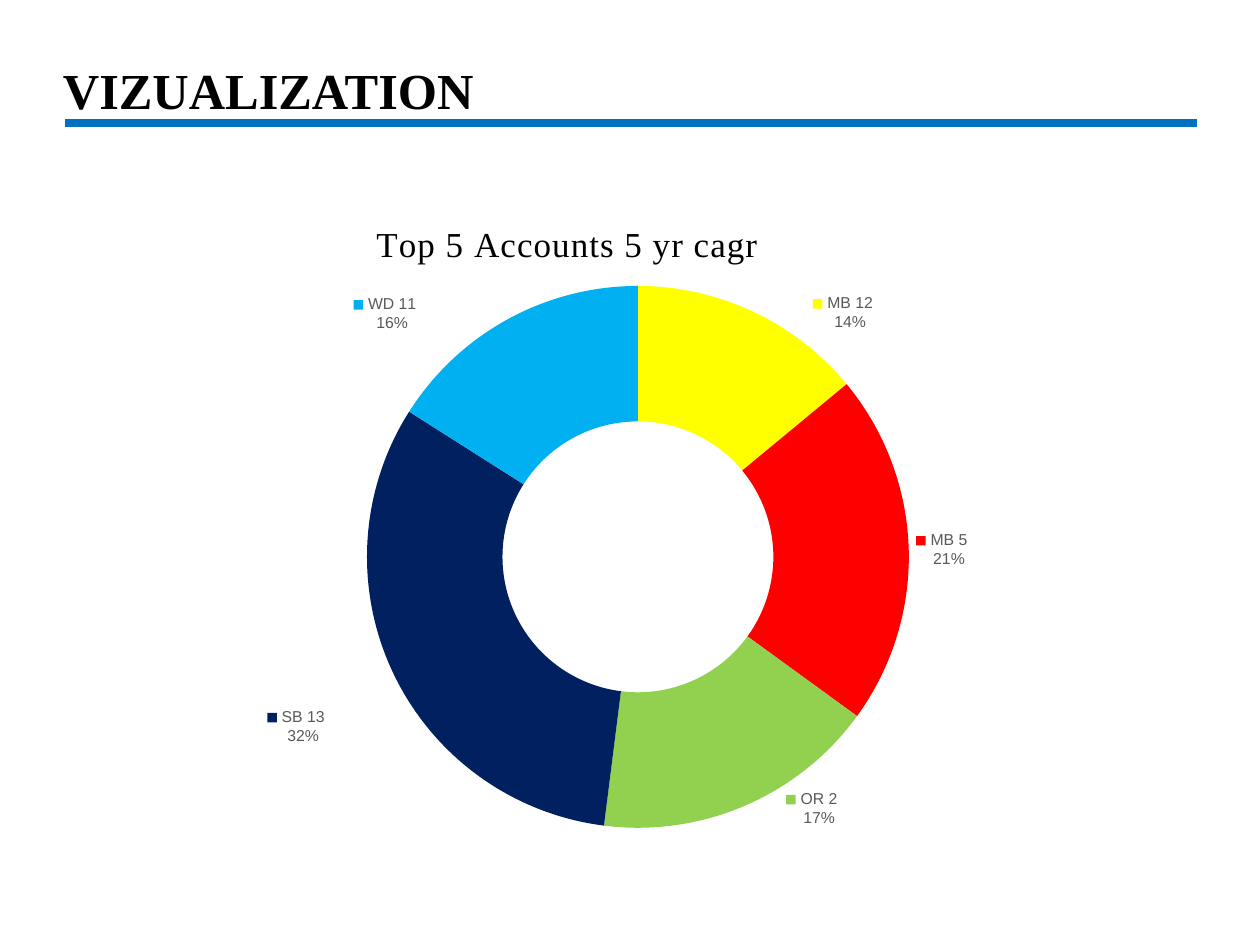
import math
from lxml import etree
from pptx import Presentation
from pptx import util as u
from pptx.chart.data import CategoryChartData
from pptx.dml.color import RGBColor
from pptx.enum import chart as charts, shapes, text
from pptx.oxml import parse_xml
from pptx.oxml.ns import nsdecls, qn

SCALE = 914400 / 126
SERIF, SANS = "Times New Roman", "Arial"

# Category, percentage, colour, label centre in px
ACCOUNTS = [
    ("MB 12", 14, "FFFF00", (843, 313)),
    ("MB 5", 21, "FF0000", (942, 550)),
    ("OR 2", 17, "92D050", (812, 809)),
    ("SB 13", 32, "002060", (296, 727)),
    ("WD 11", 16, "00B0F0", (385, 314)),
]
CHART = (130, 197, 1016, 649)
RING = (367, 286, 542, 542)
TITLE_AT = (370, 215)


def px(n):
    return u.Emu(round(n * SCALE))


def rgb(value):
    return RGBColor.from_string(value)


def set_font(font, color, **values):
    font.color.rgb = rgb(color)
    for name, value in values.items():
        setattr(font, name, value)


def in_chart(x, y):
    """Place on the slide in px, as fractions of the chart."""
    left, top, width, height = CHART
    return dict(xMode="edge", yMode="edge", x=(x - left) / width, y=(y - top) / height)


def layout_xml(**values):
    parts = "".join(f'<c:{k} val="{v}"/>' for k, v in values.items())
    return f'<c:layout {nsdecls("c")}><c:manualLayout>{parts}</c:manualLayout></c:layout>'


def set_layout(parent, index, **values):
    for old in parent.findall(qn("c:layout")):
        parent.remove(old)
    parent.insert(index, parse_xml(layout_xml(**values)))


def label_offsets():
    """Shift of each label from the middle of its ring segment, as chart fractions."""
    left, top, size, _ = RING
    cx, cy, radius = left + size / 2, top + size / 2, size * 3 / 8
    total, start = sum(a[1] for a in ACCOUNTS), 0
    for _, value, _, (x, y) in ACCOUNTS:
        angle = 2 * math.pi * (start + value / 2) / total
        start += value
        dx = x - cx - radius * math.sin(angle)
        dy = y - cy + radius * math.cos(angle)
        yield dx / CHART[2], dy / CHART[3]


def labels_xml():
    style = (
        '<c:numFmt formatCode="0%" sourceLinked="0"/><c:spPr><a:noFill/><a:ln><a:noFill/></a:ln></c:spPr>'
        '<c:txPr><a:bodyPr/><a:p><a:pPr><a:defRPr sz="900" b="0"><a:solidFill><a:srgbClr val="595959"/>'
        f'</a:solidFill><a:latin typeface="{SANS}"/></a:defRPr></a:pPr><a:endParaRPr lang="en-US"/></a:p></c:txPr>'
        '<c:showLegendKey val="1"/><c:showVal val="0"/><c:showCatName val="1"/><c:showSerName val="0"/>'
        '<c:showPercent val="1"/><c:showBubbleSize val="0"/><c:separator>\n</c:separator>'
    )
    items = "".join(
        f'<c:dLbl><c:idx val="{i}"/>{layout_xml(x=x, y=y)}{style}</c:dLbl>'
        for i, (x, y) in enumerate(label_offsets())
    )
    return f'<c:dLbls {nsdecls("c", "a")}>{items}{style}<c:showLeaderLines val="0"/></c:dLbls>'


class Deck:
    def __init__(self, width, height):
        self.prs = Presentation()
        self.prs.slide_width, self.prs.slide_height = px(width), px(height)
        self.s = self.prs.slides.add_slide(self.prs.slide_layouts[6])

    def line(self, x1, y1, x2, y2, color, width):
        sp = self.s.shapes.add_connector(shapes.MSO_CONNECTOR.STRAIGHT, px(x1), px(y1), px(x2), px(y2))
        sp.line.color.rgb, sp.line.width = rgb(color), u.Pt(width)
        etree.SubElement(sp._element.spPr, qn("a:effectLst"))

    def heading(self, box, words, color, **font):
        tf = self.s.shapes.add_textbox(*map(px, box)).text_frame
        frame = dict(word_wrap=True, margin_left=0, margin_right=0,
                     vertical_anchor=text.MSO_ANCHOR.MIDDLE)
        for name, value in frame.items():
            setattr(tf, name, value)
        p = tf.paragraphs[0]
        p.line_spacing = 0.9
        r = p.add_run()
        r.text = words
        set_font(r.font, color, **font)

    def doughnut(self, box, title):
        data = CategoryChartData()
        data.categories = [a[0] for a in ACCOUNTS]
        data.add_series("Series 1", [a[1] for a in ACCOUNTS])
        chart = self.s.shapes.add_chart(charts.XL_CHART_TYPE.DOUGHNUT, *map(px, box), data).chart
        chart.has_legend = False
        set_font(chart.font, "000000", name=SANS, size=u.Pt(10))

        # Chart title
        chart.has_title = True
        r = chart.chart_title.text_frame.paragraphs[0].add_run()
        r.text = title
        set_font(r.font, "000000", name=SERIF, size=u.Pt(20), bold=False)
        r.font._element.set("spc", "50")
        set_layout(chart.chart_title._element, 1, **in_chart(*TITLE_AT))

        # Ring position and segment colours
        x, y, w, h = RING
        set_layout(chart._chartSpace.chart.plotArea, 0, layoutTarget="inner", **in_chart(x, y),
                   w=w / box[2], h=h / box[3])
        plot = chart.plots[0]
        plot.vary_by_categories = True
        series = plot.series[0]
        for i, account in enumerate(ACCOUNTS):
            fmt = series.points[i].format
            fmt.fill.solid()
            fmt.fill.fore_color.rgb = rgb(account[2])
            fmt.line.fill.background()

        # Category and percentage labels
        for old in plot._element.findall(qn("c:dLbls")):
            plot._element.remove(old)
        series._element.find(qn("c:cat")).addprevious(parse_xml(labels_xml()))


def main():
    deck = Deck(1260, 945)
    # Heading and rule
    deck.line(65, 123, 1197, 123, "0070C0", 4.5)
    deck.heading((63, 74, 1134, 38), "VIZUALIZATION", "000000", name=SERIF, size=u.Pt(28.8), bold=True)
    # Account shares
    deck.doughnut(CHART, "Top 5 Accounts 5 yr cagr")
    deck.prs.save("out.pptx")


if __name__ == "__main__":
    main()
